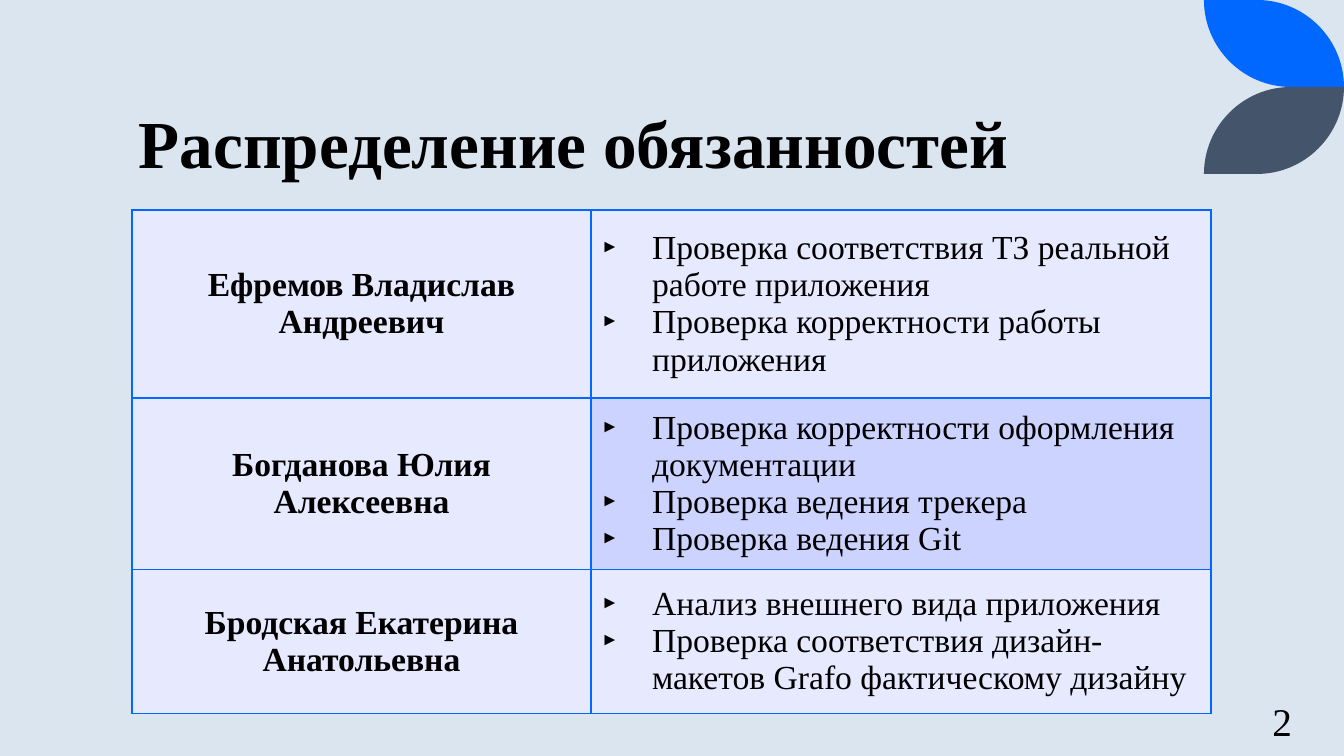
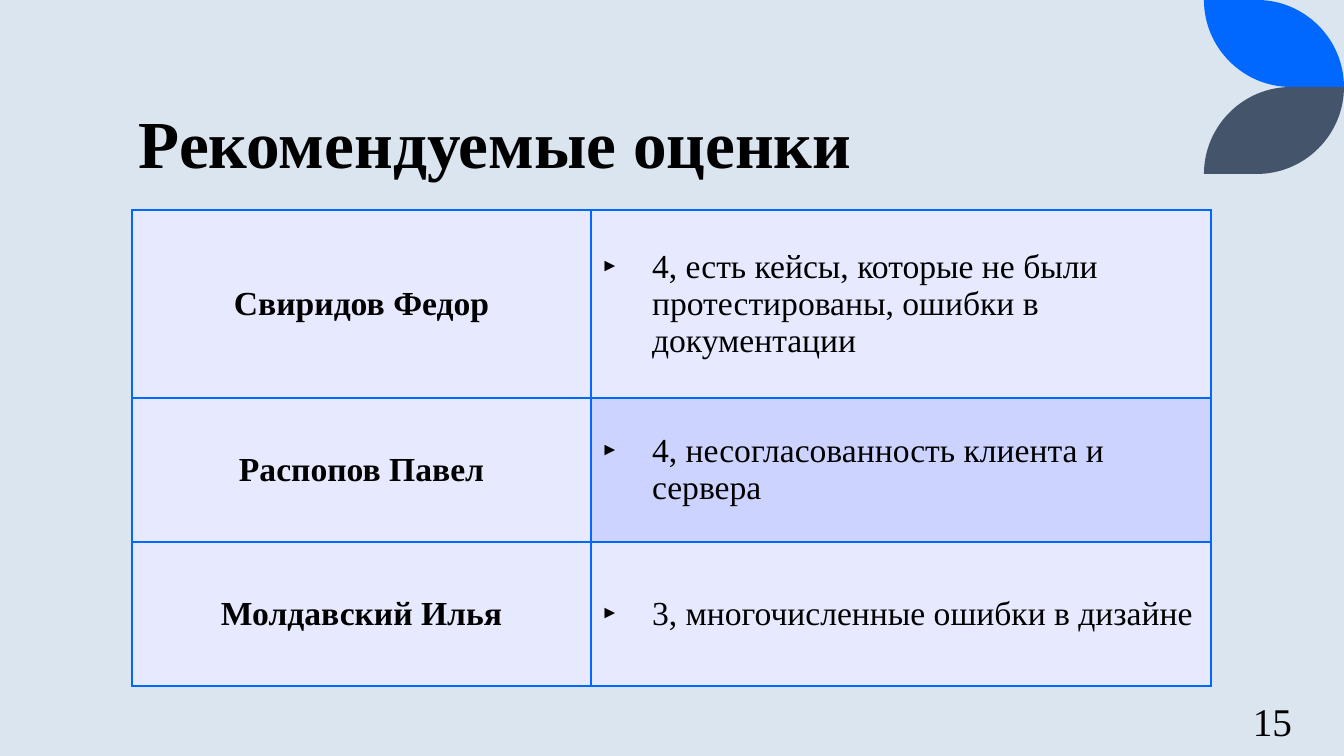
from lxml import etree
from pptx import Presentation, util as u
from pptx.dml.color import RGBColor
from pptx.enum import text
from pptx.oxml import ns

# Content
SLIDES = [
    ("Распределение обязанностей", "2", [
        ("Ефремов Владислав Андреевич",
         ["Проверка соответствия ТЗ реальной работе приложения",
          "Проверка корректности работы приложения"]),
        ("Богданова Юлия Алексеевна",
         ["Проверка корректности оформления документации",
          "Проверка ведения трекера",
          "Проверка ведения Git"]),
        ("Бродская Екатерина Анатольевна",
         ["Анализ внешнего вида приложения",
          "Проверка соответствия дизайн-макетов Grafo фактическому дизайну"]),
    ]),
    ("Рекомендуемые оценки", "15", [
        ("Свиридов Федор",
         ["4, есть кейсы, которые не были протестированы, ошибки в документации"]),
        ("Распопов Павел", ["4, несогласованность клиента и сервера"]),
        ("Молдавский Илья", ["3, многочисленные ошибки в дизайне"]),
    ]),
]

# Style and layout, lengths in pixels
COLORS = {"back": "DAE5EF", "blue": "0068FF", "slate": "44546A",
          "text": "000000", "cell": "E7EAFF", "accent": "CCD3FF"}
FONT = "Times New Roman"
WIDTH, HEIGHT = 1344, 756
PX = u.Inches(1) / 100.8
TITLE_BOX = (129, 42, 1078, 146)
NUMBER_BOX = (1120, 701, 182, 40)
TABLE_LEFT, TABLE_TOP = 132, 210
COLUMNS = (459, 620)
ROWS = (188, 144, 144)
LEAF_WIDTH, LEAF_HEIGHT = 140, 87
INDENT = 51


def px(n):
    return u.Emu(round(n * PX))


def rgb(name):
    return RGBColor.from_string(COLORS[name])


def style(p, size, bold=False, align=text.PP_ALIGN.LEFT):
    p.alignment = align
    for r in p.runs:
        r.font.name, r.font.size, r.font.bold = FONT, u.Pt(size), bold
        r.font.color.rgb = rgb("text")


def add_text(s, box, words, anchor, size, **look):
    tf = s.shapes.add_textbox(*map(px, box)).text_frame
    tf.word_wrap = True
    tf.vertical_anchor = anchor
    p = tf.paragraphs[0]
    p.text = words
    style(p, size, **look)
    return p


def add_solid(parent, color):
    fill = etree.SubElement(parent, ns.qn("a:solidFill"))
    etree.SubElement(fill, ns.qn("a:srgbClr"), val=COLORS[color])


def add_bullet(p):
    pPr = p._p.get_or_add_pPr()
    pPr.set("marL", str(px(INDENT)))
    pPr.set("indent", str(-px(INDENT)))
    color = etree.SubElement(pPr, ns.qn("a:buClr"))
    etree.SubElement(color, ns.qn("a:srgbClr"), val=COLORS["text"])
    etree.SubElement(pPr, ns.qn("a:buFont"), typeface=FONT)
    etree.SubElement(pPr, ns.qn("a:buChar"), char="‣")


def style_cell(cell, fill):
    cell.vertical_anchor = text.MSO_ANCHOR.MIDDLE
    cell.fill.solid()
    cell.fill.fore_color.rgb = rgb(fill)
    tcPr = cell._tc.get_or_add_tcPr()
    for i, side in enumerate(("lnL", "lnR", "lnT", "lnB")):
        ln = etree.Element(ns.qn("a:" + side), w=str(u.Pt(0.96)))
        add_solid(ln, "blue")
        tcPr.insert(i, ln)


def bend(lines):
    """Turn three line segments into one curve through their points."""
    curve = etree.Element(ns.qn("a:cubicBezTo"))
    lines[0].addprevious(curve)
    for line in lines:
        curve.append(line[0])
        line.getparent().remove(line)


def add_leaves(s):
    left, h = WIDTH - LEAF_WIDTH, LEAF_HEIGHT
    pull = 0.45 * h  # distance from a curve's control point to the corner
    outline = [(left, 0), (WIDTH - h, 0),
               (WIDTH - pull, 0), (WIDTH, pull), (WIDTH, h),
               (left + h, h),
               (left + pull, h), (left, h - pull), (left, 0)]
    mirrored = [(x, 2 * h - y) for x, y in outline]
    for color, points in (("blue", outline), ("slate", mirrored)):
        first, *rest = [(px(x), px(y)) for x, y in points]
        builder = s.shapes.build_freeform(*first)
        builder.add_line_segments(rest, close=True)
        leaf = builder.convert_to_shape()
        lines = list(leaf._element.iter(ns.qn("a:lnTo")))
        bend(lines[1:4])
        bend(lines[5:8])
        leaf.shadow.inherit = False
        leaf.fill.solid()
        leaf.fill.fore_color.rgb = rgb(color)
        leaf.line.fill.background()


def add_people(s, people):
    table = s.shapes.add_table(
        len(people), len(COLUMNS), px(TABLE_LEFT), px(TABLE_TOP),
        px(sum(COLUMNS)), px(sum(ROWS))).table
    table.first_row = table.horz_banding = False
    for column, width in zip(table.columns, COLUMNS):
        column.width = px(width)
    for i, (name, points) in enumerate(people):
        table.rows[i].height = px(ROWS[i])
        person, notes = table.cell(i, 0), table.cell(i, 1)
        person.text_frame.text = name
        style(person.text_frame.paragraphs[0], 24, True, text.PP_ALIGN.CENTER)
        style_cell(person, "cell")
        notes.text_frame.text = "\n".join(points)
        for p in notes.text_frame.paragraphs:
            style(p, 24)
            add_bullet(p)
        style_cell(notes, "accent" if i % 2 else "cell")


# Build the slides
prs = Presentation()
prs.slide_width, prs.slide_height = px(WIDTH), px(HEIGHT)
background = prs.slide_master.background.fill
background.solid()
background.fore_color.rgb = rgb("back")

for title, number, people in SLIDES:
    s = prs.slides.add_slide(prs.slide_layouts[6])
    add_leaves(s)
    p = add_text(s, TITLE_BOX, title, text.MSO_ANCHOR.BOTTOM, 48, bold=True)
    p.line_spacing = 0.9
    add_people(s, people)
    add_text(s, NUMBER_BOX, number, text.MSO_ANCHOR.MIDDLE, 28,
             align=text.PP_ALIGN.RIGHT)

prs.save("out.pptx")
